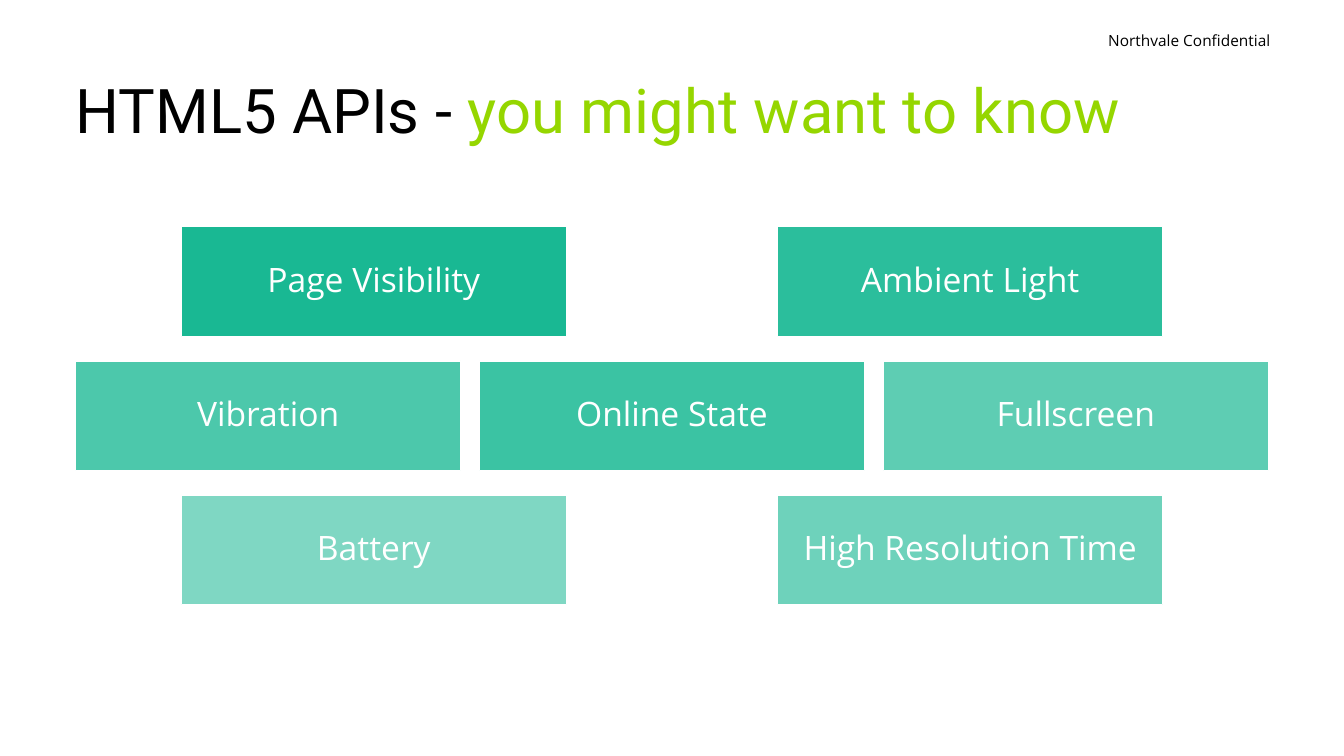
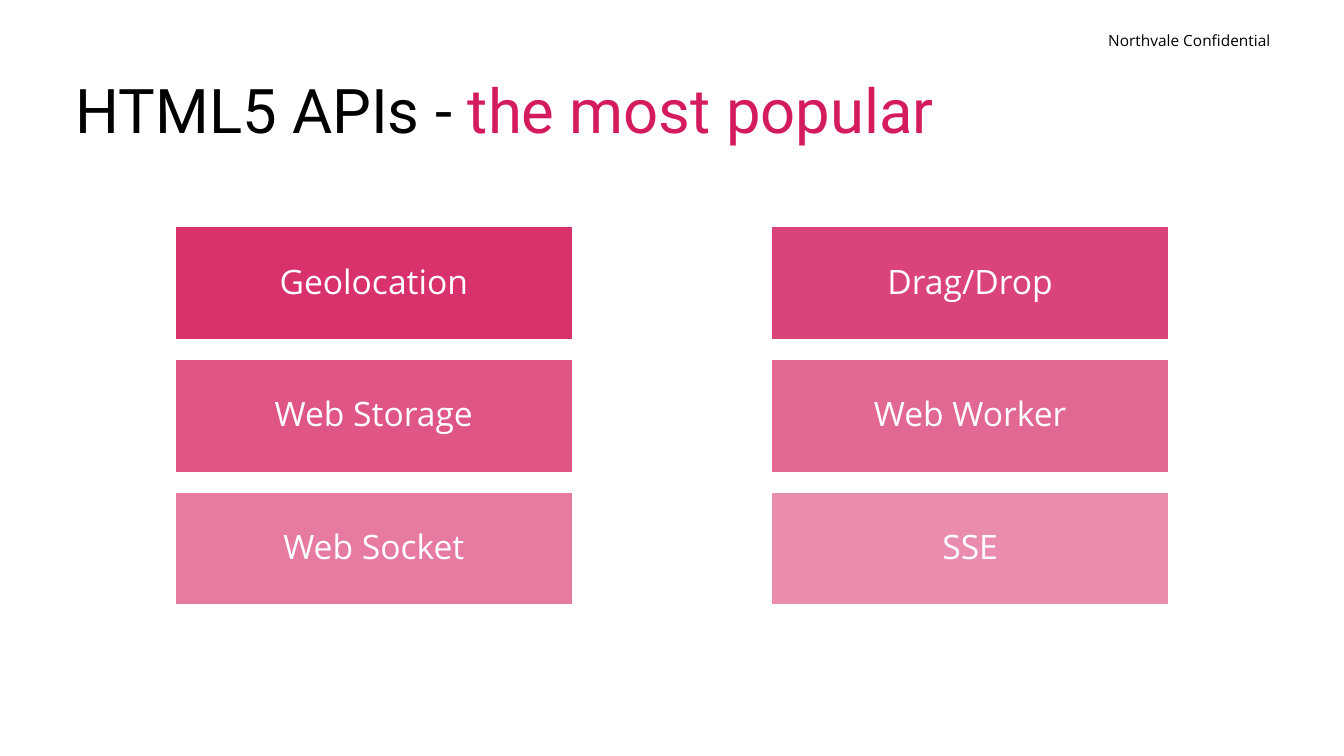
from dataclasses import dataclass

from lxml import etree
from pptx import Presentation
from pptx.dml.color import RGBColor
from pptx.enum.shapes import MSO_SHAPE
from pptx.enum.text import MSO_ANCHOR, PP_ALIGN
from pptx.oxml.ns import qn
from pptx.util import Emu, Pt

PX = 9144  # 100 px to the inch
RECT = MSO_SHAPE.RECTANGLE
TOP, MIDDLE = MSO_ANCHOR.TOP, MSO_ANCHOR.MIDDLE
LEFT, CENTER, RIGHT = PP_ALIGN.LEFT, PP_ALIGN.CENTER, PP_ALIGN.RIGHT


@dataclass(frozen=True)
class Theme:
    black: str = "000000"
    white: str = "FFFFFF"
    lime: str = "95D600"
    green: str = "00B188"
    pink: str = "D41B5D"
    title_font: str = "Roboto"
    body_font: str = "Open Sans"
    title_size: int = 44
    card_size: int = 24
    note_size: int = 11
    outline: int = 1
    line_spacing: float = 0.9
    opacity: tuple = (90, 50)


THEME = Theme()
SLIDE_SIZE = (1333, 750)
NOTE_BOX = (1038, 26, 232, 29)
TITLE_BOX = (75, 75, 1183, 75)
CARDS_BOX = (75, 225, 1183, 375)
NOTE = "Northvale Confidential"
TITLE_START = "HTML5 APIs - "

# Each card is (text, rank); a higher rank is paler.
SLIDES = [
    dict(topic="you might want to know", accent=THEME.lime, fill=THEME.green,
         card_size=(382, 109),
         rows=[[("Page Visibility", 0), ("Ambient Light", 1)],
               [("Vibration", 3), ("Online State", 2), ("Fullscreen", 4)],
               [("Battery", 6), ("High Resolution Time", 5)]]),
    dict(topic="the most popular", accent=THEME.pink, fill=THEME.pink,
         card_size=(394, 112),
         rows=[[("Geolocation", 0), ("Drag/Drop", 1)],
               [("Web Storage", 2), ("Web Worker", 3)],
               [("Web Socket", 4), ("SSE", 5)]]),
]


def emu(*lengths):
    return [Emu(round(n * PX)) for n in lengths]


def write(sp, runs, font, size, align=LEFT, anchor=TOP, spacing=1.0,
          insets=(10, 5, 10, 5)):
    """Fill a shape with one paragraph of (text, colour) runs."""
    tf = sp.text_frame
    left, top, right, bottom = emu(*insets)
    frame = dict(word_wrap=True, vertical_anchor=anchor, margin_left=left,
                 margin_top=top, margin_right=right, margin_bottom=bottom)
    for name, value in frame.items():
        setattr(tf, name, value)
    p = tf.paragraphs[0]
    p.alignment, p.line_spacing = align, spacing
    for text, color in runs:
        r = p.add_run()
        r.text = text
        for name, value in dict(name=font, size=Pt(size)).items():
            setattr(r.font, name, value)
        r.font.color.rgb = RGBColor.from_string(color)


def add_note(s, box):
    write(s.shapes.add_textbox(*emu(*box)), [(NOTE, THEME.black)],
          THEME.body_font, THEME.note_size, align=RIGHT)


def add_title(s, box, topic, accent):
    write(s.shapes.add_textbox(*emu(*box)),
          [(TITLE_START, THEME.black), (topic, accent)],
          THEME.title_font, THEME.title_size,
          spacing=THEME.line_spacing, insets=(0, 5, 10, 5))


def add_card(s, box, text, fill, opacity):
    sp = s.shapes.add_shape(RECT, *emu(*box))
    sp.shadow.inherit = False
    sp.fill.solid()
    sp.fill.fore_color.rgb = RGBColor.from_string(fill)
    color = sp.element.spPr.find(qn("a:solidFill"))[0]
    etree.SubElement(color, qn("a:alpha"), val=str(round(opacity * 1000)))
    sp.line.color.rgb = RGBColor.from_string(THEME.white)
    sp.line.width = Pt(THEME.outline)
    write(sp, [(text, THEME.white)], THEME.body_font, THEME.card_size,
          align=CENTER, anchor=MIDDLE, spacing=THEME.line_spacing,
          insets=(10, 10, 10, 10))


def column_lefts(left, width, card_w, count):
    """Centre two cards in the halves; spread three or more edge to edge."""
    if count == 2:
        return [left + width * (i + 0.5) / 2 - card_w / 2 for i in range(2)]
    step = (width - card_w) / (count - 1)
    return [left + i * step for i in range(count)]


def add_cards(s, box, rows, card_size, fill):
    left, top, width, height = box
    card_w, card_h = card_size
    row_step = (height - card_h) / (len(rows) - 1)
    first, last = THEME.opacity
    fade = (first - last) / (sum(map(len, rows)) - 1)
    for i, row in enumerate(rows):
        lefts = column_lefts(left, width, card_w, len(row))
        for x, (text, rank) in zip(lefts, row):
            add_card(s, (x, top + i * row_step, card_w, card_h), text, fill,
                     first - rank * fade)


def add_api_slide(prs, topic, accent, fill, card_size, rows):
    s = prs.slides.add_slide(prs.slide_layouts[6])
    add_note(s, NOTE_BOX)
    add_title(s, TITLE_BOX, topic, accent)
    add_cards(s, CARDS_BOX, rows, card_size, fill)


def main():
    prs = Presentation()
    prs.slide_width, prs.slide_height = emu(*SLIDE_SIZE)
    for content in SLIDES:
        add_api_slide(prs, **content)
    prs.save("out.pptx")


if __name__ == "__main__":
    main()
